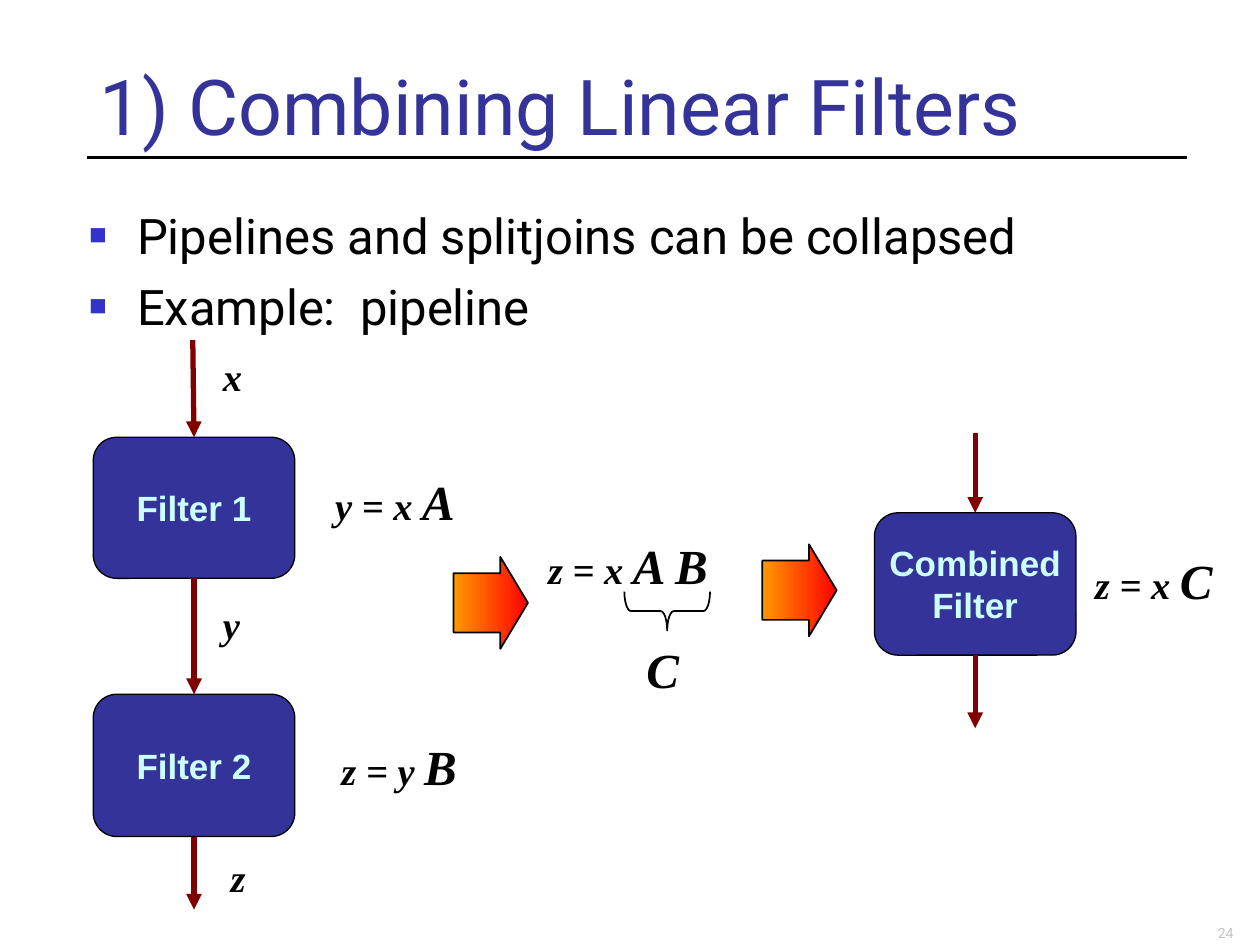
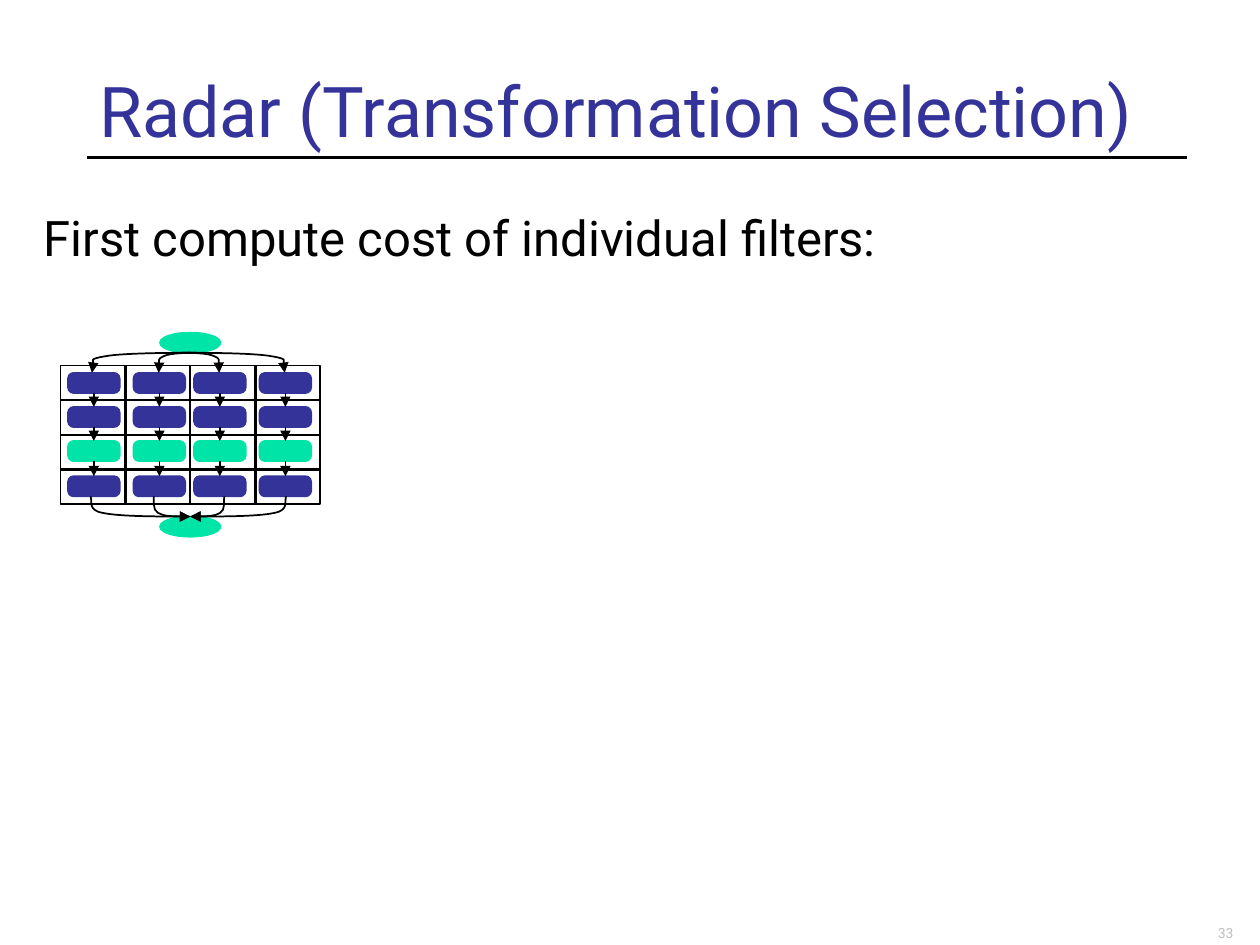
from dataclasses import dataclass
from itertools import pairwise, product
from typing import NamedTuple

from lxml.etree import SubElement
from pptx import Presentation
from pptx.dml.color import RGBColor
from pptx.enum.shapes import MSO_CONNECTOR as Connector, MSO_SHAPE as Preset
from pptx.enum.text import MSO_ANCHOR as Anchor, PP_ALIGN as Align
from pptx.oxml.ns import qn
from pptx.util import Pt

EMU_PER_PX = 9144  # 100 px to the inch
COLOURS = {
    "navy": "333399", "bullet": "3333CC", "ice": "CCFFFF", "maroon": "800000",
    "green": "00E4A8", "red": "FF0000", "orange": "FF9900",
    "black": "000000", "grey": "C0C0C0",
}
TOP, BOTTOM = 0, 2  # connection sites


class Box(NamedTuple):
    left: int
    top: int
    width: int
    height: int


class Point(NamedTuple):
    x: float
    y: float


@dataclass(frozen=True)
class TextStyle:
    font: str
    size: int
    colour: str = "black"
    bold: bool = False
    italic: bool = False
    align: Align = Align.LEFT
    anchor: Anchor = Anchor.TOP
    inset: int = 10
    wrap: bool = True


@dataclass(frozen=True)
class LineStyle:
    colour: str
    width: float
    arrow: str = ""  # "headEnd", "tailEnd" or none


@dataclass(frozen=True)
class Formula:
    box: Box
    variables: str
    matrices: str = ""


TITLE = TextStyle("Roboto", 44, "navy", anchor=Anchor.BOTTOM)
SMALL_TITLE = TextStyle("Roboto", 40, "navy", anchor=Anchor.BOTTOM)
BODY = TextStyle("Roboto", 28)
PAGE_NUMBER = TextStyle("Roboto", 8, "grey", align=Align.RIGHT, anchor=Anchor.BOTTOM)
FILTER_NAME = TextStyle("Arial", 20, "ice", bold=True, align=Align.CENTER,
                        anchor=Anchor.MIDDLE, inset=9, wrap=False)
VARIABLE = TextStyle("Times New Roman", 22, bold=True, italic=True, inset=9)
MATRIX_SIZE = 28

TITLE_RULE = LineStyle("black", 1.5)
FLOW = LineStyle("maroon", 3, "tailEnd")
THIN = LineStyle("black", 1)
THIN_FLOW = LineStyle("black", 1, "tailEnd")
THIN_INFLOW = LineStyle("black", 1, "headEnd")

# Fractions of a curve's span: start, then two groups of Bezier points
CURVE = [Point(0, 0),
         Point(0.15, 0), Point(0.71, 0), Point(0.88, 0.18),
         Point(1.04, 0.32), Point(0.98, 0.82), Point(1, 1)]


def px(length: float) -> int:
    return round(length * EMU_PER_PX)


def rgb(name: str) -> RGBColor:
    return RGBColor.from_string(COLOURS[name])


def style_line(shape, style: LineStyle) -> None:
    shape.line.color.rgb = rgb(style.colour)
    shape.line.width = Pt(style.width)
    if style.arrow:
        line = shape.element.spPr.get_or_add_ln()
        SubElement(line, qn(f"a:{style.arrow}"), type="triangle")


def style_paragraph(paragraph, style: TextStyle) -> None:
    paragraph.alignment = style.align
    font = paragraph.font
    font.name, font.size = style.font, Pt(style.size)
    font.bold, font.italic = style.bold, style.italic
    font.color.rgb = rgb(style.colour)


def write(shape, lines: list[str], style: TextStyle):
    frame = shape.text_frame
    frame.word_wrap = style.wrap
    frame.vertical_anchor = style.anchor
    frame.margin_left = frame.margin_right = px(style.inset)
    frame.margin_top = frame.margin_bottom = px(5)
    frame.text = "\n".join(lines)
    for paragraph in frame.paragraphs:
        style_paragraph(paragraph, style)
    return frame


def add_text(slide, box: Box, lines: list[str], style: TextStyle):
    return write(slide.shapes.add_textbox(*map(px, box)), lines, style)


def add_bullets(slide, box: Box, lines: list[str]) -> None:
    frame = add_text(slide, box, lines, BODY)
    for index, paragraph in enumerate(frame.paragraphs):
        properties = paragraph._p.get_or_add_pPr()
        properties.set("marL", str(px(38)))
        properties.set("indent", str(px(-38)))
        if index:
            paragraph.space_before = Pt(7)
        # Bullet elements go before the default run properties
        default = properties.find(qn("a:defRPr"))
        properties.remove(default)
        colour = SubElement(properties, qn("a:buClr"))
        SubElement(colour, qn("a:srgbClr"), val=COLOURS["bullet"])
        SubElement(properties, qn("a:buSzPct"), val="60000")
        SubElement(properties, qn("a:buFont"), typeface="Arial")
        SubElement(properties, qn("a:buChar"), char="■")
        properties.append(default)


def add_formula(slide, formula: Formula) -> None:
    paragraph = add_text(slide, formula.box, [formula.variables], VARIABLE).paragraphs[0]
    if formula.matrices:
        run = paragraph.add_run()
        run.text = formula.matrices
        run.font.size = Pt(MATRIX_SIZE)


def add_preset(slide, preset: Preset, box: Box, fill: str | None,
               line: LineStyle, adjustments: tuple[float, ...] = ()):
    shape = slide.shapes.add_shape(preset, *map(px, box))
    shape.shadow.inherit = False
    if fill:
        shape.fill.solid()
        shape.fill.fore_color.rgb = rgb(fill)
    else:
        shape.fill.background()
    style_line(shape, line)
    for index, value in enumerate(adjustments):
        shape.adjustments[index] = value
    return shape


def add_line(slide, start: Point, end: Point, style: LineStyle,
             source=None, target=None) -> None:
    """Draw a line, joined to a source's bottom and a target's top if given."""
    line = slide.shapes.add_connector(Connector.STRAIGHT, *map(px, (*start, *end)))
    if source is not None:
        line.begin_connect(source, BOTTOM)
    if target is not None:
        line.end_connect(target, TOP)
    style_line(line, style)
    SubElement(line.element.spPr, qn("a:effectLst"))


def add_curve(slide, start: Point, end: Point, style: LineStyle) -> None:
    points = [(px(start.x + (end.x - start.x) * step.x),
               px(start.y + (end.y - start.y) * step.y)) for step in CURVE]
    builder = slide.shapes.build_freeform(*points[0])
    builder.add_line_segments(points[1:], close=False)
    shape = builder.convert_to_shape()
    # Turn every three segments into one cubic Bezier
    outline = shape.element.find(".//" + qn("a:path"))
    segments = outline.findall(qn("a:lnTo"))
    for first in range(0, len(segments), 3):
        cubic = SubElement(outline, qn("a:cubicBezTo"))
        for segment in segments[first:first + 3]:
            cubic.append(segment[0])
            outline.remove(segment)
    shape.shadow.inherit = False
    shape.fill.background()
    style_line(shape, style)


def add_filter(slide, box: Box, lines: list[str]):
    shape = add_preset(slide, Preset.ROUNDED_RECTANGLE, box, "navy",
                       LineStyle("black", 0.75))
    write(shape, lines, FILTER_NAME)
    return shape


def add_block_arrow(slide, box: Box) -> None:
    shape = add_preset(slide, Preset.RIGHT_ARROW, box, "red", THIN, (0.645, 0.372))
    shape.fill.gradient()
    shape.fill.gradient_angle = 180
    for stop, colour in zip(shape.fill.gradient_stops, ("red", "orange")):
        stop.color.rgb = rgb(colour)


def new_slide(presentation, title: str, style: TextStyle, number: int):
    slide = presentation.slides.add_slide(presentation.slide_layouts[6])
    add_line(slide, Point(69, 125), Point(942, 125), TITLE_RULE)
    add_text(slide, Box(69, 42, 873, 83), [title], style)
    add_text(slide, Box(656, 702, 333, 50), [str(number)], PAGE_NUMBER)
    return slide


def build_combining(presentation) -> None:
    slide = new_slide(presentation, "1) Combining Linear Filters", TITLE, 24)
    add_bullets(slide, Box(61, 158, 914, 505),
                ["Pipelines and splitjoins can be collapsed", "Example:  pipeline"])

    # Filters and the flow through them
    first = add_filter(slide, Box(74, 347, 160, 112), ["Filter 1"])
    second = add_filter(slide, Box(74, 551, 160, 113), ["Filter 2"])
    combined = add_filter(slide, Box(694, 407, 160, 113), ["Combined", "Filter"])
    for start, end, source, target in [
        (Point(153, 270), Point(154, 347), None, first),
        (Point(154, 459), Point(154, 551), first, second),
        (Point(154, 664), Point(154, 722), second, None),
        (Point(774, 344), Point(774, 407), None, combined),
        (Point(774, 520), Point(774, 578), combined, None),
    ]:
        add_line(slide, start, end, FLOW, source, target)

    # Steps of the derivation
    for box in (Box(360, 442, 59, 73), Box(605, 432, 59, 73)):
        add_block_arrow(slide, box)
    for formula in [
        Formula(Box(168, 275, 44, 46), "x"),
        Formula(Box(168, 472, 44, 46), "y"),
        Formula(Box(174, 673, 32, 46), "z"),
        Formula(Box(257, 369, 151, 56), "y = x ", "A"),
        Formula(Box(262, 580, 151, 56), "z = y ", "B"),
        Formula(Box(426, 420, 151, 56), "z = x ", "A B"),
        Formula(Box(860, 432, 125, 56), "z = x ", "C"),
        Formula(Box(504, 503, 58, 56), "", "C"),
    ]:
        add_formula(slide, formula)
    brace = add_preset(slide, Preset.RIGHT_BRACE, Box(514, 451, 31, 68), None,
                       THIN, (0.17, 0.5))
    brace.rotation = 90


def build_radar(presentation) -> None:
    slide = new_slide(presentation, "Radar (Transformation Selection)", SMALL_TITLE, 33)
    add_text(slide, Box(25, 160, 715, 57),
             ["First compute cost of individual filters:"], BODY)

    # Splitter and joiner
    for top in (264, 410):
        add_preset(slide, Preset.OVAL, Box(127, top, 48, 16), "green",
                   LineStyle("green", 1))

    # Four pipelines of four filters
    for left in (54, 106, 154, 206):
        filters = []
        for top, colour in zip((296, 323, 350, 378), ("navy", "navy", "green", "navy")):
            filters.append(add_preset(slide, Preset.ROUNDED_RECTANGLE,
                                      Box(left, top, 41, 16), colour,
                                      LineStyle(colour, 1), (0.276,)))
        for source, target in pairwise(filters):
            add_line(slide, Point(0, 0), Point(0, 0), THIN_FLOW, source, target)

    # Curves out of the splitter and into the joiner
    for start, end in ((156, 73), (156, 126), (144, 226), (144, 174)):
        add_curve(slide, Point(start, 280), Point(end, 296), THIN_FLOW)
    for end in (72, 122, 227, 178):
        add_curve(slide, Point(151, 410), Point(end, 394), THIN_INFLOW)

    # Cost cell around each filter
    for row, column in product(range(4), repeat=2):
        cell = Box(48 + round(column * 51.4), 290 + round(row * 27.4), 52, 28)
        add_preset(slide, Preset.RECTANGLE, cell, None, THIN)


def main() -> None:
    presentation = Presentation()
    presentation.slide_width, presentation.slide_height = px(1000), px(750)
    build_combining(presentation)
    build_radar(presentation)
    presentation.save("out.pptx")


if __name__ == "__main__":
    main()
